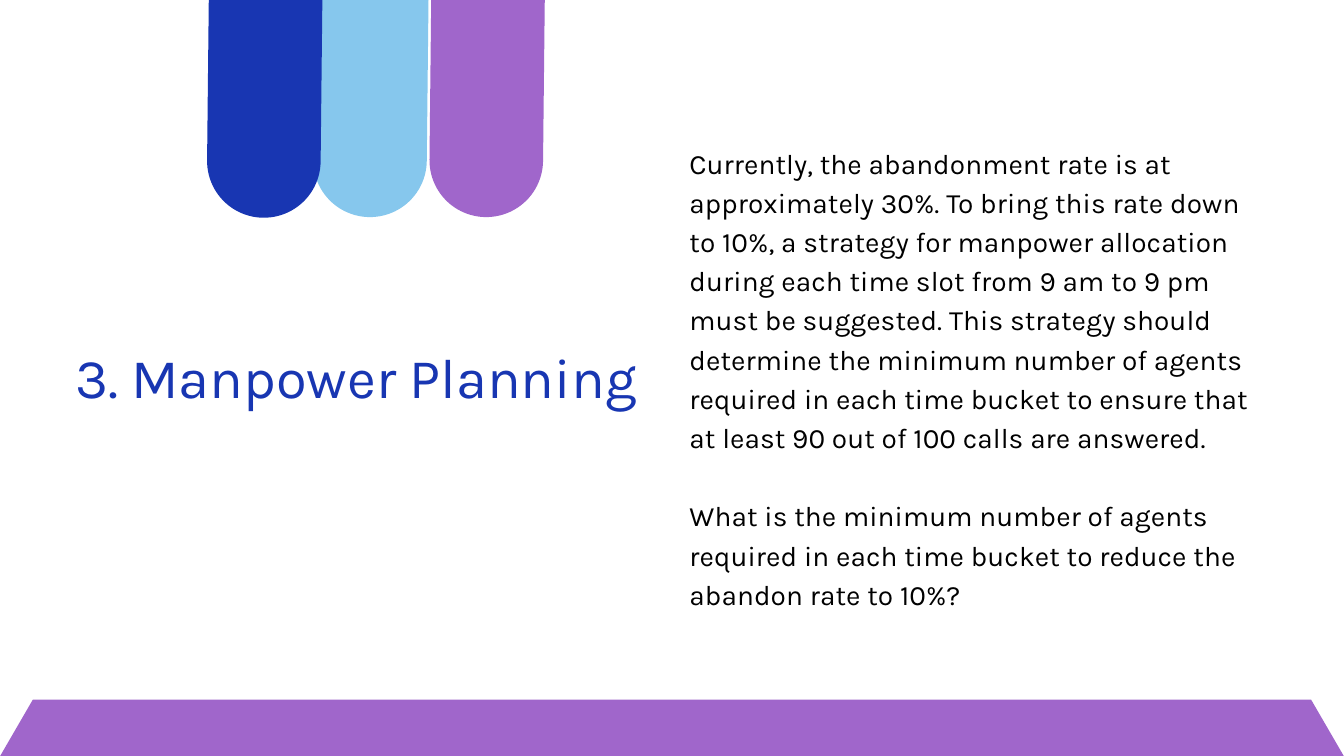
from pptx import Presentation
from pptx.dml.color import RGBColor
from pptx.enum.shapes import MSO_SHAPE
from pptx.enum.text import MSO_ANCHOR, MSO_AUTO_SIZE, PP_ALIGN
from pptx.util import Pt
from lxml import etree

HEXAGON = MSO_SHAPE.HEXAGON
PILL = MSO_SHAPE.ROUNDED_RECTANGLE
TOP = MSO_ANCHOR.TOP
LEFT = PP_ALIGN.LEFT
NO_FIT = MSO_AUTO_SIZE.NONE

COLORS = {"blue": "1836B2", "sky": "86C7ED", "purple": "A066CB", "black": "000000"}
FONT = "Karla"
SLIDE_SIZE = (1440, 810)

TITLE = {
    "paragraphs": ["3. Manpower Planning"],
    "box": (80.64, 373, 604.8, 68.4),
    "size": 60, "leading": 66, "color": "blue", "tracking": 0,
}
BODY = {
    "paragraphs": [
        "Currently, the abandonment rate is at approximately 30%. To bring this rate down "
        "to 10%, a strategy for manpower allocation during each time slot from 9 am to 9 pm "
        "must be suggested. This strategy should determine the minimum number of agents "
        "required in each time bucket to ensure that at least 90 out of 100 calls are answered.",
        "What is the minimum number of agents required in each time bucket to reduce the "
        "abandon rate to 10%?",
    ],
    "box": (738.72, 150.5, 604.8, 503.3),
    "size": 30, "leading": 42, "color": "black", "tracking": 10,
}

BAND = (0, 749.5, 1440, 121.7)
PILL_SIZE = (375.1, 121.7)
PILL_ANGLE = 90.6
PILLS = [("sky", 210.2, -15.8), ("purple", 334.8, -15.8), ("blue", 96.5, -15.1)]


def place(shape, box):
    for name, value in zip(("left", "top", "width", "height"), box):
        setattr(shape, name, Pt(value))


def add_block(slide, kind, box, color, roundness, angle=0):
    shape = slide.shapes.add_shape(kind, *map(Pt, box))
    shape.adjustments[0] = roundness
    shape.rotation = angle
    shape.shadow.inherit = False
    shape.fill.solid()
    shape.fill.fore_color.rgb = RGBColor.from_string(COLORS[color])
    shape.line.fill.background()


def fill_text(placeholder, content):
    place(placeholder, content["box"])
    frame = placeholder.text_frame
    frame_format = {
        "margin_left": 0, "margin_top": 0, "margin_right": 0, "margin_bottom": 0,
        "word_wrap": True, "auto_size": NO_FIT, "vertical_anchor": TOP,
    }
    for name, value in frame_format.items():
        setattr(frame, name, value)
    for index, text in enumerate(content["paragraphs"]):
        para = frame.add_paragraph() if index else frame.paragraphs[0]
        para_format = {
            "alignment": LEFT,
            "line_spacing": Pt(content["leading"]),
            "space_before": Pt(content["leading"] if index else 0),
            "space_after": Pt(0),
        }
        for name, value in para_format.items():
            setattr(para, name, value)
        properties = para._p.get_or_add_pPr()
        properties.set("marL", "0")
        properties.set("indent", "0")
        namespace = etree.QName(properties).namespace
        etree.SubElement(properties, f"{{{namespace}}}buNone")
        span = para.add_run()
        span.text = text
        for name, value in {"name": FONT, "size": Pt(content["size"]), "bold": False}.items():
            setattr(span.font, name, value)
        span.font.color.rgb = RGBColor.from_string(COLORS[content["color"]])
        span._r.get_or_add_rPr().set("spc", str(content["tracking"]))


def main():
    deck = Presentation()
    deck.slide_width, deck.slide_height = map(Pt, SLIDE_SIZE)
    slide = deck.slides.add_slide(deck.slide_layouts[1])
    add_block(slide, HEXAGON, BAND, "purple", 0.29)
    fill_text(slide.shapes.title, TITLE)
    fill_text(slide.placeholders[1], BODY)
    for color, left, top in PILLS:
        add_block(slide, PILL, (left, top, *PILL_SIZE), color, 0.5, PILL_ANGLE)
    deck.save("out.pptx")


if __name__ == "__main__":
    main()
